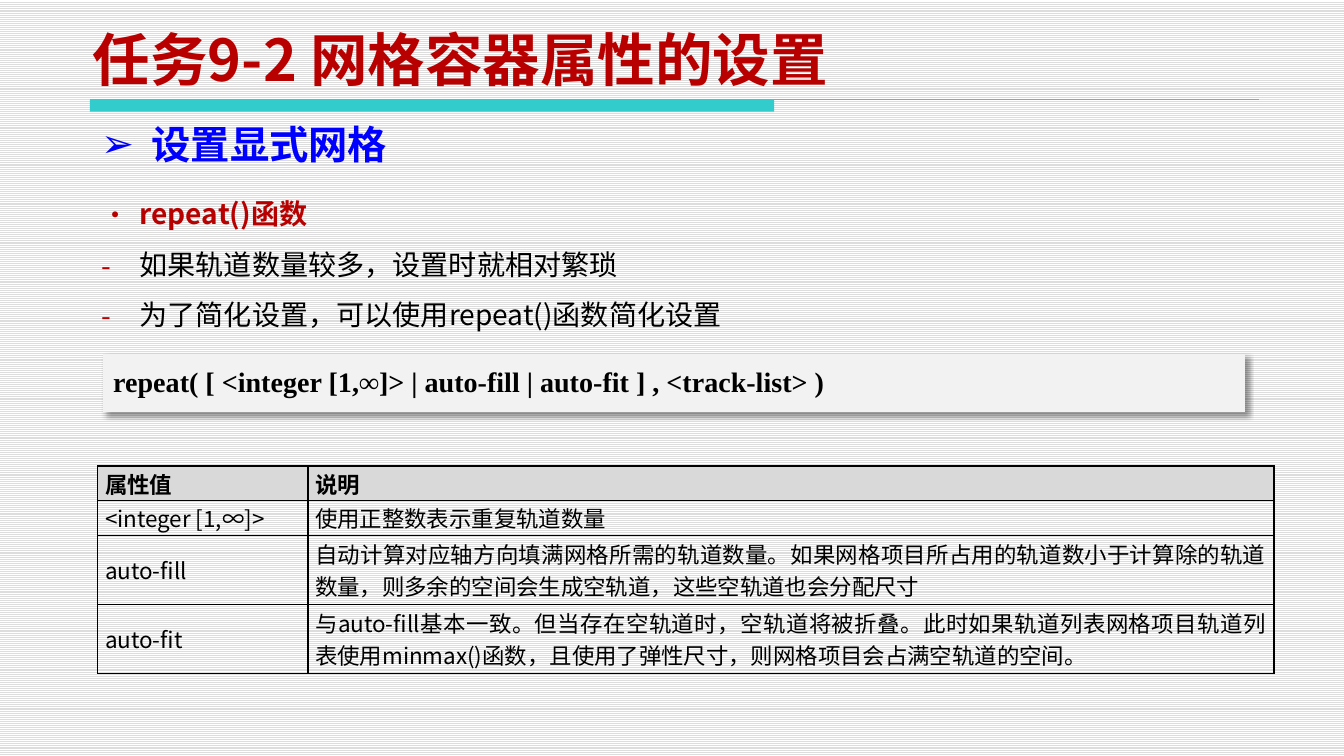
import lxml.etree
import pptx
import pptx.dml.color
import pptx.enum.dml
import pptx.enum.shapes
import pptx.enum.text
import pptx.oxml
import pptx.oxml.ns
import pptx.util

Cm, Pt = pptx.util.Cm, pptx.util.Pt
ALIGN, ANCHOR = pptx.enum.text.PP_ALIGN, pptx.enum.text.MSO_ANCHOR
NS = 'xmlns:a="http://schemas.openxmlformats.org/drawingml/2006/main"'
NO_STYLE = "{2D5ABB26-0587-4C30-8999-92F81FD0307C}"
SANS, SERIF, SYMBOL = "Noto Sans CJK SC", "Times New Roman", "DejaVu Sans"
COLOURS = {
    "red": "B90000", "blue": "0000FF", "teal": "33CCCC", "black": "000000",
    "stripe": "DDDDDD", "white": "FFFFFF", "code": "F2F2F2", "header": "D9D9D9",
}

TITLE = "任务9-2 网格容器属性的设置"
HEADING = "设置显式网格"
POINTS = [
    ("•", "repeat()函数", "red", True),
    ("-", "如果轨道数量较多，设置时就相对繁琐", "black", False),
    ("-", "为了简化设置，可以使用repeat()函数简化设置", "black", False),
]
SYNTAX = "repeat( [ <integer [1,∞]> | auto-fill | auto-fit ] , <track-list> )"
VALUES = [
    ("属性值", "说明"),
    ("<integer [1,∞]>", "使用正整数表示重复轨道数量"),
    ("auto-fill", "自动计算对应轴方向填满网格所需的轨道数量。如果网格项目所占用的轨道数小于"
                  "计算除的轨道数量，则多余的空间会生成空轨道，这些空轨道也会分配尺寸"),
    ("auto-fit", "与auto-fill基本一致。但当存在空轨道时，空轨道将被折叠。此时如果轨道列表"
                 "网格项目轨道列表使用minmax()函数，且使用了弹性尺寸，则网格项目会占满空轨道的空间。"),
]
COLUMN_WIDTHS = (5.28, 24.28)
ROW_HEIGHTS = (0.87, 0.87, 1.74, 1.74)


def rgb(name):
    return pptx.dml.color.RGBColor.from_string(COLOURS[name])


def xml(markup):
    """Parse one DrawingML element, given without its namespace declaration."""
    head, tail = markup.split(">", 1)
    slash = "/" if head.endswith("/") else ""
    return pptx.oxml.parse_xml(f"{head.rstrip('/')} {NS}{slash}>{tail}")


def write(frame, text, size, colour="black", font=SANS, bold=False, align=ALIGN.LEFT,
          bullet=None, bullet_colour=None, indent=0, spacing=None):
    """Fill the frame's empty first paragraph, or add a further one."""
    paragraph = frame.paragraphs[0]
    if paragraph.runs:
        paragraph = frame.add_paragraph()
    paragraph.alignment = align
    if spacing:
        paragraph.line_spacing = spacing
    run = paragraph.add_run()
    run.text = text
    run.font.size, run.font.bold, run.font.name = Pt(size), bold, font
    run.font.color.rgb = rgb(colour)
    run.font._element.append(xml(f'<a:ea typeface="{SANS}"/>'))
    if bullet:
        properties = paragraph._p.get_or_add_pPr()
        properties.set("marL", str(Cm(indent)))
        properties.set("indent", str(-Cm(indent)))
        properties.append(xml(f'<a:buClr><a:srgbClr val="{COLOURS[bullet_colour]}"/></a:buClr>'))
        properties.append(xml(f'<a:buFont typeface="{font}"/>'))
        properties.append(xml(f'<a:buChar char="{bullet}"/>'))


def add_text_box(slide, left, top, width, height, anchor=ANCHOR.TOP):
    frame = slide.shapes.add_textbox(Cm(left), Cm(top), Cm(width), Cm(height)).text_frame
    frame.word_wrap = True
    frame.vertical_anchor = anchor
    return frame


def add_plain_table(slide, left, top, widths, heights):
    """Add a table with the given column and row sizes and no built-in style."""
    table = slide.shapes.add_table(len(heights), len(widths), Cm(left), Cm(top),
                                   Cm(sum(widths)), Cm(sum(heights))).table
    table.first_row = table.horz_banding = False
    table._tbl.tblPr.find(pptx.oxml.ns.qn("a:tableStyleId")).text = NO_STYLE
    for column, width in zip(table.columns, widths):
        column.width = Cm(width)
    for row, height in zip(table.rows, heights):
        row.height = Cm(height)
    return table


def fill_cell(cell, colour):
    cell.vertical_anchor = ANCHOR.MIDDLE
    if colour:
        cell.fill.solid()
        cell.fill.fore_color.rgb = rgb(colour)
    else:
        cell.fill.background()


def add_borders(cell):
    for index, side in enumerate("LRTB"):
        cell._tc.get_or_add_tcPr().insert(index, xml(
            f'<a:ln{side} w="{Pt(1)}"><a:solidFill><a:srgbClr val="{COLOURS["black"]}"/>'
            f'</a:solidFill></a:ln{side}>'))


def add_title_rule(slide, left, top, bar_width, bar_height, line_width):
    bar = slide.shapes.add_shape(pptx.enum.shapes.MSO_SHAPE.RECTANGLE,
                                 Cm(left), Cm(top), Cm(bar_width), Cm(bar_height))
    bar.shadow.inherit = False
    bar.fill.solid()
    bar.fill.fore_color.rgb = rgb("teal")
    bar.line.fill.background()
    line = slide.shapes.add_connector(pptx.enum.shapes.MSO_CONNECTOR.STRAIGHT,
                                      Cm(left), Cm(top), Cm(left + line_width), Cm(top))
    line.line.color.rgb = rgb("teal")
    line.line.width = Pt(0.75)
    line._element.spPr.append(xml("<a:effectLst/>"))


def add_syntax(slide):
    table = add_plain_table(slide, 2.59, 8.89, [28.7], [1.47])
    table._tbl.tblPr.insert(0, xml(
        f'<a:effectLst><a:outerShdw blurRad="{Pt(4)}" dist="{Pt(3)}" dir="2700000" algn="tl">'
        f'<a:srgbClr val="{COLOURS["black"]}"><a:alpha val="40000"/></a:srgbClr>'
        '</a:outerShdw></a:effectLst>'))
    cell = table.cell(0, 0)
    fill_cell(cell, "code")
    write(cell.text_frame, SYNTAX, 20, font=SERIF, bold=True)


def add_values(slide):
    table = add_plain_table(slide, 2.46, 11.71, COLUMN_WIDTHS, ROW_HEIGHTS)
    for row, texts in enumerate(VALUES):
        for column, text in enumerate(texts):
            cell = table.cell(row, column)
            cell.margin_left = cell.margin_right = Cm(0.18)
            cell.margin_top = cell.margin_bottom = 0
            fill_cell(cell, "header" if row == 0 else None)
            add_borders(cell)
            write(cell.text_frame, text, 16, bold=row == 0, align=ALIGN.JUSTIFY)


def main():
    deck = pptx.Presentation()
    deck.slide_width, deck.slide_height = Cm(33.78), Cm(19)
    slide = deck.slides.add_slide(deck.slide_layouts[6])
    backdrop = slide.background.fill
    backdrop.patterned()
    backdrop.pattern = pptx.enum.dml.MSO_PATTERN.LIGHT_HORIZONTAL
    backdrop.fore_color.rgb, backdrop.back_color.rgb = rgb("stripe"), rgb("white")

    add_title_rule(slide, 2.26, 2.51, 17.2, 0.3, 29.39)
    title = add_text_box(slide, 2.08, 0.71, 20.4, 1.75, ANCHOR.BOTTOM)
    write(title, TITLE, 41, "red", bold=True)
    heading = add_text_box(slide, 2.29, 2.9, 16.97, 1.47)
    write(heading, HEADING, 28, "blue", SYMBOL, True, ALIGN.JUSTIFY,
          bullet="➢", bullet_colour="blue", indent=1.27)
    points = add_text_box(slide, 2.29, 4.39, 31.39, 3.91)
    for bullet, text, colour, bold in POINTS:
        write(points, text, 20, colour, bold=bold, bullet=bullet,
              bullet_colour="red", indent=0.97, spacing=1.5)
    add_syntax(slide)
    add_values(slide)
    deck.save("out.pptx")


if __name__ == "__main__":
    main()
